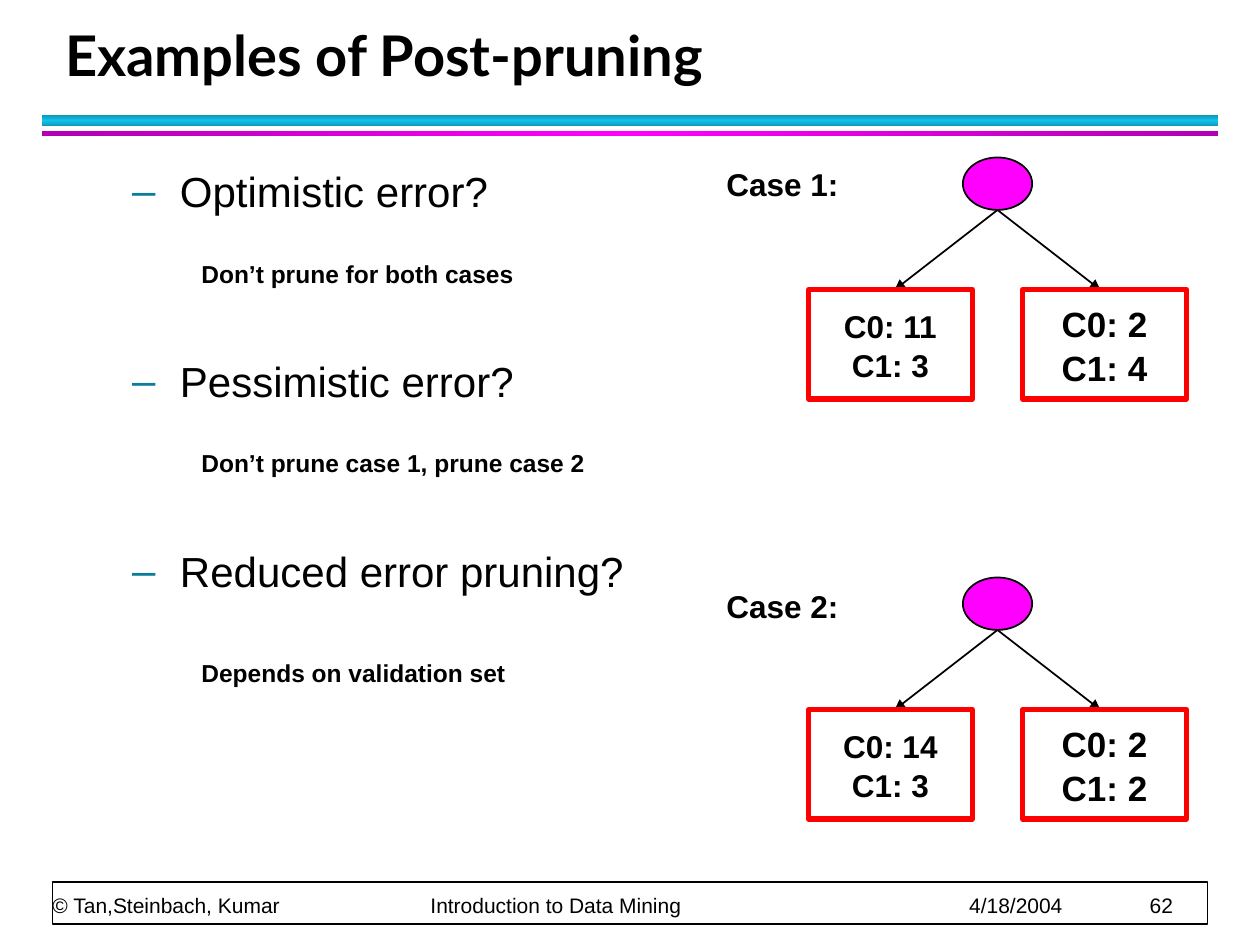
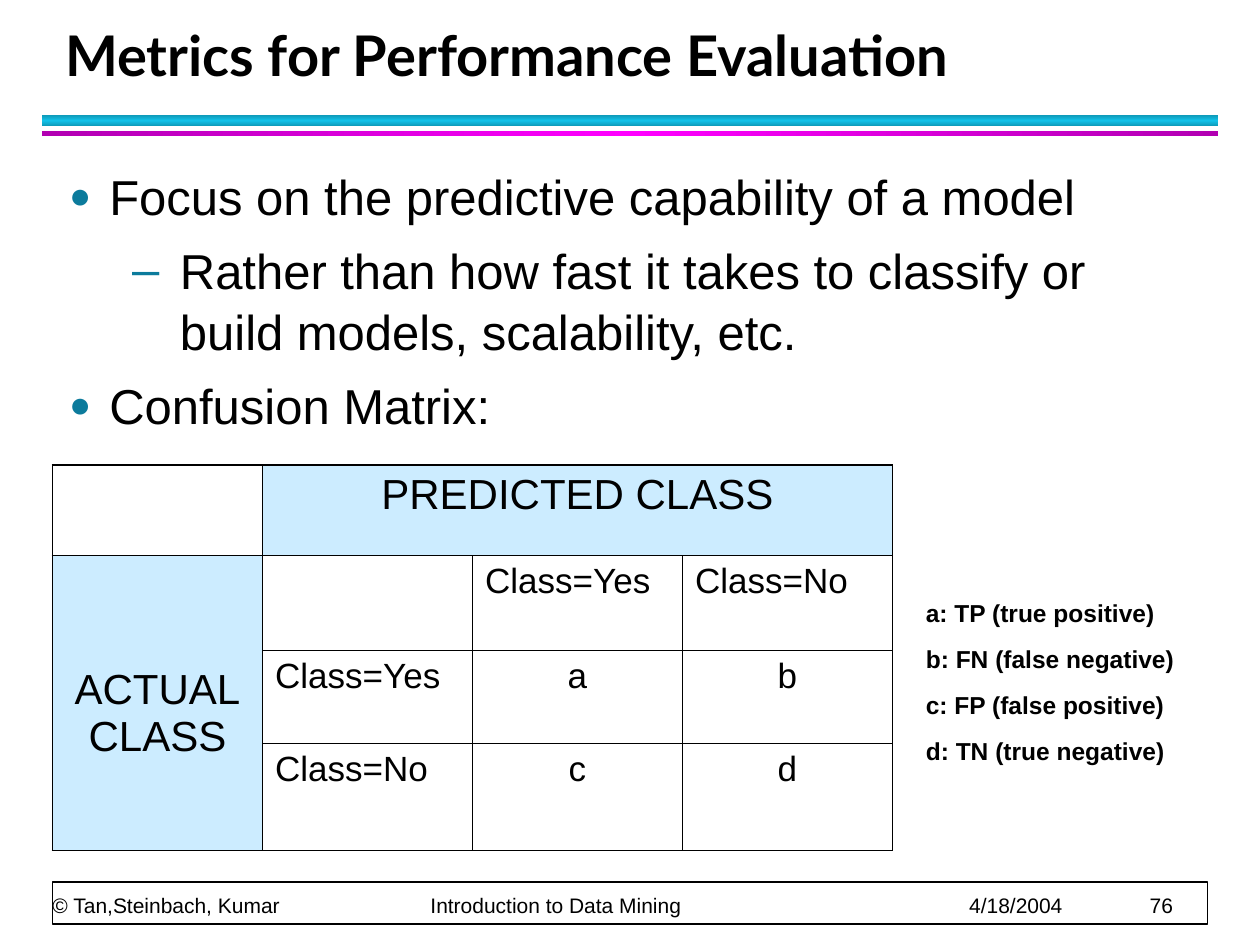
from lxml import etree
from pptx import Presentation
from pptx.dml.color import RGBColor
from pptx.enum.shapes import MSO_CONNECTOR, MSO_SHAPE
from pptx.enum.text import MSO_ANCHOR, PP_ALIGN
from pptx.oxml.ns import qn
from pptx.util import Inches, Pt

RECT, OVAL, STRAIGHT = MSO_SHAPE.RECTANGLE, MSO_SHAPE.OVAL, MSO_CONNECTOR.STRAIGHT
LEFT, CENTER = PP_ALIGN.LEFT, PP_ALIGN.CENTER
TOP, MIDDLE, BOTTOM = MSO_ANCHOR.TOP, MSO_ANCHOR.MIDDLE, MSO_ANCHOR.BOTTOM

COLORS = {
    "text": "000000", "paper": "FFFFFF", "bullet": "0C7B9C",
    "teal_edge": "0E9BBA", "teal": "12C2E9",
    "magenta_edge": "B200B2", "magenta": "FF00FF",
    "leaf": "FF0000", "header": "CCECFF",
}
# The slide is a grid of 120 columns by 90 rows
COLUMNS, ROWS = 120, 90
UNIT = Inches(10) / COLUMNS
SPACING = 1.04
TITLE_FORMAT = {"name": "Lato", "size": Pt(32), "bold": True}
# Bullet levels: left margin and hanging indent in inches, sign, sign size in percent
LEVELS = [(0.32, 0.32, "●", 75), (0.88, 0.38, "–", 100)]


def grid(*lengths):
    return [round(length * UNIT) for length in lengths]


def rgb(name):
    return RGBColor.from_string(COLORS[name])


def add_xml(parent, tag, **attributes):
    return etree.SubElement(parent, qn(tag), attributes)


def set_all(target, values):
    for name, value in values.items():
        setattr(target, name, value)


def write(paragraph, text, size, bold=False, **layout):
    """Fill one paragraph and format its runs; layout holds paragraph values."""
    paragraph.text = text
    set_all(paragraph, layout)
    for run in paragraph.runs:
        set_all(run.font, {"name": "Arial", "size": Pt(size), "bold": bold})
        run.font.color.rgb = rgb("text")


def write_lines(frame, lines, size, bold=False, before=0, **layout):
    for index, line in enumerate(lines):
        paragraph = frame.add_paragraph() if index else frame.paragraphs[0]
        write(paragraph, line, size, bold, line_spacing=SPACING,
              space_before=Pt(before if index else 0), **layout)


def add_frame(slide, box):
    frame = slide.shapes.add_textbox(*grid(*box)).text_frame
    frame.word_wrap = True
    return frame


def add_label(slide, box, lines, size, before=0):
    write_lines(add_frame(slide, box), lines, size, bold=True, before=before)


def add_box(slide, kind, box, fill=None, line=None, width=1):
    shape = slide.shapes.add_shape(kind, *grid(*box))
    shape.shadow.inherit = False
    if fill:
        shape.fill.solid()
        shape.fill.fore_color.rgb = rgb(fill)
    else:
        shape.fill.background()
    if line:
        shape.line.color.rgb = rgb(line)
        shape.line.width = Pt(width)
    else:
        shape.line.fill.background()
    return shape


def add_band(slide, box, color, angle):
    """Rule under the title, shaded from its edges to its middle."""
    band = add_box(slide, RECT, box)
    band.fill.gradient()
    band.fill.gradient_angle = angle
    stops = band._element.spPr.find(".//" + qn("a:gsLst"))
    stops.clear()
    for position, name in ((0, color + "_edge"), (50000, color), (100000, color + "_edge")):
        stop = add_xml(stops, "a:gs", pos=str(position))
        add_xml(stop, "a:srgbClr", val=COLORS[name])


def add_footer(slide, box, number):
    left, top, width, height = box
    add_box(slide, RECT, box, "paper", "text")
    frame = add_frame(slide, (left, top - 3.3, width, height + 2.7))
    set_all(frame, {"margin_left": 0, "margin_right": 0, "margin_top": 0,
                    "margin_bottom": 0, "vertical_anchor": BOTTOM})
    paragraph = frame.paragraphs[0]
    tabs = add_xml(paragraph._p.get_or_add_pPr(), "a:tabLst")
    for column in (36, 87.3, 104.5):
        add_xml(tabs, "a:tab", pos=str(grid(column)[0]), algn="l")
    parts = ["© Tan,Steinbach, Kumar", "Introduction to Data Mining", "4/18/2004", number]
    write(paragraph, "\t".join(parts), 12, line_spacing=Pt(20))


def start_slide(deck, heading, number):
    slide = deck.slides.add_slide(deck.slide_layouts[5])
    add_band(slide, (4, 11, 112, 1), "teal", 90)
    add_band(slide, (4, 12.5, 112, 0.5), "magenta", 0)
    add_footer(slide, (5, 84, 110, 4), number)
    # Title
    title = slide.shapes.title
    set_all(title, dict(zip(("left", "top", "width", "height"), grid(5, 2, 108.75, 7))))
    frame = title.text_frame
    frame.text = heading
    set_all(frame, {"vertical_anchor": BOTTOM, "word_wrap": True})
    paragraph = frame.paragraphs[0]
    set_all(paragraph, {"alignment": LEFT, "line_spacing": Pt(36)})
    font = paragraph.runs[0].font
    set_all(font, TITLE_FORMAT)
    font.color.rgb = rgb("text")
    return slide


def add_bullets(slide, box, points, size, before, after=4):
    """Bulleted list of (level, text) points."""
    frame = add_frame(slide, box)
    for index, (level, text) in enumerate(points):
        paragraph = frame.add_paragraph() if index else frame.paragraphs[0]
        margin, hanging, sign, percent = LEVELS[level]
        properties = paragraph._p.get_or_add_pPr()
        properties.set("marL", str(Inches(margin)))
        properties.set("indent", str(-Inches(hanging)))
        add_xml(add_xml(properties, "a:buClr"), "a:srgbClr", val=COLORS["bullet"])
        add_xml(properties, "a:buSzPct", val=str(percent * 1000))
        add_xml(properties, "a:buFont", typeface="Arial")
        add_xml(properties, "a:buChar", char=sign)
        write(paragraph, text, size, level=level, line_spacing=SPACING,
              space_before=Pt(before if index else 0), space_after=Pt(after))


def add_branch(slide, start, end):
    branch = slide.shapes.add_connector(STRAIGHT, *grid(*start, *end))
    branch.line.color.rgb = rgb("text")
    branch.line.width = Pt(1)
    add_xml(branch.line._get_or_add_ln(), "a:tailEnd", type="triangle")
    add_xml(branch._element.spPr, "a:effectLst")


def add_tree(slide, box, leaves):
    """Root node with two leaves; leaves holds the class counts of each."""
    left, top, width, height = box
    root_width, root_height, leaf_width, leaf_height = 6.6, 5, 15.6, 10.4
    middle, leaf_top = left + width / 2, top + height - leaf_height
    add_box(slide, OVAL, (middle - root_width / 2, top, root_width, root_height),
            "magenta", "text")
    sides = ((left, -9.8, 18), (left + width - leaf_width, 9.8, 20))
    for (leaf_left, reach, size), counts in zip(sides, leaves):
        add_branch(slide, (middle, top + root_height), (middle + reach, leaf_top))
        leaf = add_box(slide, RECT, (leaf_left, leaf_top, leaf_width, leaf_height),
                       line="leaf", width=3)
        set_all(leaf.text_frame, {"word_wrap": False, "vertical_anchor": MIDDLE})
        lines = [f"C{label}: {count}" for label, count in enumerate(counts)]
        write_lines(leaf.text_frame, lines, size, bold=True, alignment=CENTER)


def set_borders(cell, outer):
    """Black borders, heavier on the sides listed in outer."""
    properties = cell._tc.get_or_add_tcPr()
    for side in "LRTB":
        width = Pt(1.08 if side in outer else 0.45)
        line = add_xml(properties, "a:ln" + side, w=str(width))
        add_xml(add_xml(line, "a:solidFill"), "a:srgbClr", val=COLORS["text"])


def add_confusion_matrix(slide, box, rows, heights):
    left, top, width, height = box
    count = len(rows[0])
    table = slide.shapes.add_table(len(rows), count, *grid(*box)).table
    set_all(table, {"first_row": False, "horz_banding": False})
    for column in table.columns:
        column.width = grid(width / count)[0]
    for row, share in zip(table.rows, heights):
        row.height = grid(height * share / sum(heights))[0]
    table.cell(0, 1).merge(table.cell(0, 3))
    table.cell(1, 0).merge(table.cell(3, 0))
    for r, texts in enumerate(rows):
        for c, text in enumerate(texts):
            cell = table.cell(r, c)
            edges = {"L": c == 0, "R": c == count - 1, "T": r == 0, "B": r == len(rows) - 1}
            set_borders(cell, [side for side, is_outer in edges.items() if is_outer])
            if cell.is_merge_origin:
                cell.fill.solid()
                cell.fill.fore_color.rgb = rgb("header")
            else:
                cell.fill.background()
            if text:
                is_class = text.startswith("Class")
                write(cell.text_frame.paragraphs[0], text, 24 if cell.is_merge_origin else 20,
                      alignment=LEFT if is_class else CENTER, space_after=Pt(4))
    set_all(table.cell(1, 0), {"vertical_anchor": TOP, "margin_top": Inches(0.88)})


def build_pruning(deck):
    slide = start_slide(deck, "Examples of Post-pruning", "62")
    questions = ["Optimistic error?", "Pessimistic error?", "Reduced error pruning?"]
    add_bullets(slide, (5.4, 15, 60.6, 68), [(1, text) for text in questions], 24, before=74.6)
    # Answers
    answers = [(24, "Don’t prune for both cases"), (42, "Don’t prune case 1, prune case 2"),
               (62, "Depends on validation set")]
    for row, answer in answers:
        add_label(slide, (18, row, 43, 4), [answer], 14)
    # Cases
    cases = [("Case 1:", 15, 15, [(11, 3), (2, 4)]), ("Case 2:", 55.2, 55, [(14, 3), (2, 2)])]
    for name, label_row, tree_row, leaves in cases:
        add_label(slide, (68, label_row, 16, 4.8), [name], 18)
        add_tree(slide, (77, tree_row, 36, 23), leaves)


def build_metrics(deck):
    slide = start_slide(deck, "Metrics for Performance Evaluation", "76")
    add_bullets(slide, (5.4, 15, 109.2, 68), [
        (0, "Focus on the predictive capability of a model"),
        (1, "Rather than how fast it takes to classify or build models, scalability, etc."),
        (0, "Confusion Matrix:"),
    ], 28, before=3.5)
    add_confusion_matrix(slide, (5, 44.3, 80, 36.7), [
        ["", "PREDICTED CLASS", "", ""],
        ["ACTUAL\vCLASS", "", "Class=Yes", "Class=No"],
        ["", "Class=Yes", "a", "b"],
        ["", "Class=No", "c", "d"],
    ], heights=(0.72, 0.75, 0.74, 0.85))
    add_label(slide, (87, 56.3, 29, 16.8), [
        "a: TP (true positive)", "b: FN (false negative)",
        "c: FP (false positive)", "d: TN (true negative)",
    ], 14, before=8.8)


def main():
    deck = Presentation()
    deck.slide_width, deck.slide_height = grid(COLUMNS, ROWS)
    build_pruning(deck)
    build_metrics(deck)
    deck.save("out.pptx")


if __name__ == "__main__":
    main()
